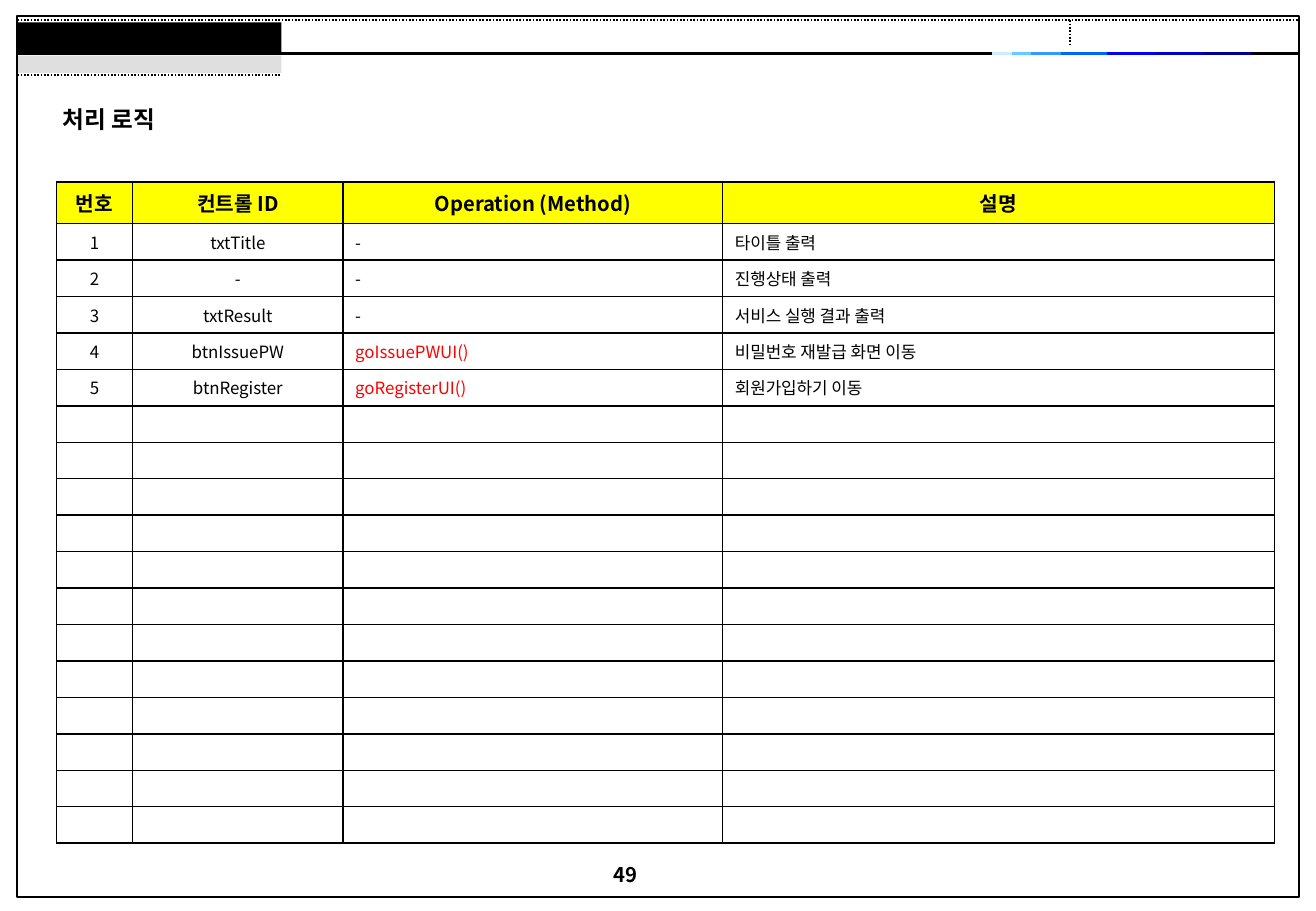
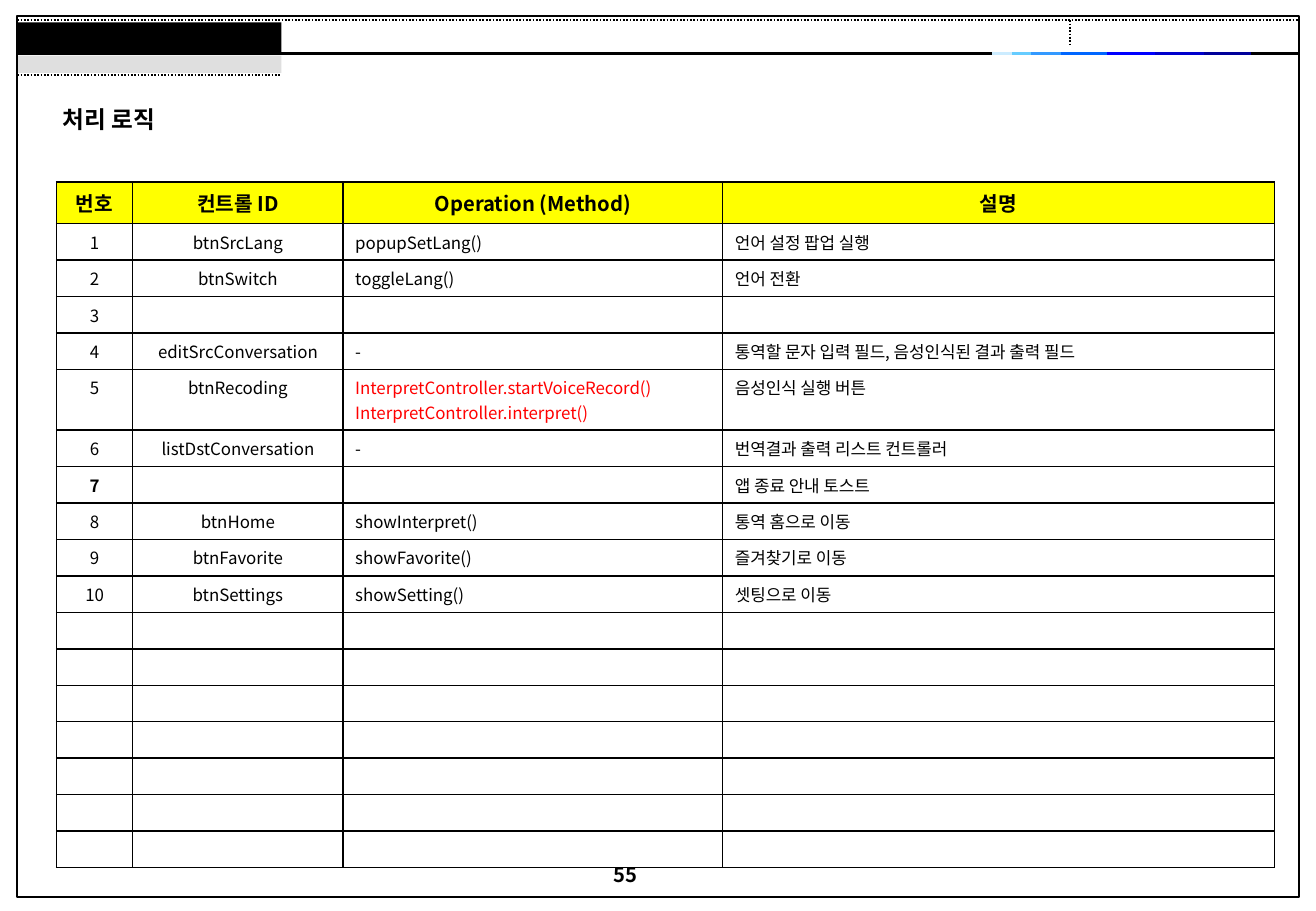
from lxml.etree import SubElement
from pptx import Presentation
from pptx.dml.color import RGBColor
from pptx.enum.dml import MSO_LINE_DASH_STYLE as Dash
from pptx.enum.shapes import MSO_CONNECTOR as Connector, MSO_SHAPE as Preset
from pptx.enum.text import MSO_ANCHOR as Anchor, MSO_AUTO_SIZE as AutoSize, PP_ALIGN as Align
from pptx.oxml.ns import qn
from pptx.util import Pt

PX = 7620
FONT = "Noto Sans CJK KR"
BLACK, RED, YELLOW, GREY = "000000", "FF0000", "FFFF00", "C0C0C0"

SLIDE_SIZE = (1300, 900)
FRAME_BOX = (17, 16, 1266, 870)
TITLE_BOX = (50, 98, 241, 41)
PAGE_BOX = (594, 846, 113, 53)
TABLE_ORIGIN = (56, 180)

TITLE = "처리 로직"
HEADER = ("번호", "컨트롤 ID", "Operation (Method)", "설명")
COLUMN_WIDTHS = (75, 208, 375, 545)
HEADER_HEIGHT, ROW_HEIGHT, EXTRA_LINE = 41, 36, 24
BODY_ROWS = 17

BLUE_STOPS = (980, 1000, 1019, 1048, 1094, 1141, 1189, 1236)
BLUES = ("CCECFF", "66CCFF", "3399FF", "0066FF", "0000FF", "0000CC", "000099")

PAGES = [
    {
        "number": "49",
        "red_operations": {"4", "5"},
        "bold_numbers": set(),
        "rows": [
            ("1", "txtTitle", "-", "타이틀 출력"),
            ("2", "-", "-", "진행상태 출력"),
            ("3", "txtResult", "-", "서비스 실행 결과 출력"),
            ("4", "btnIssuePW", "goIssuePWUI()", "비밀번호 재발급 화면 이동"),
            ("5", "btnRegister", "goRegisterUI()", "회원가입하기 이동"),
        ],
    },
    {
        "number": "55",
        "red_operations": {"5"},
        "bold_numbers": {"7"},
        "rows": [
            ("1", "btnSrcLang", "popupSetLang()", "언어 설정 팝업 실행"),
            ("2", "btnSwitch", "toggleLang()", "언어 전환"),
            ("3", "", "", ""),
            ("4", "editSrcConversation", "-", "통역할 문자 입력 필드, 음성인식된 결과 출력 필드"),
            ("5", "btnRecoding",
             "InterpretController.startVoiceRecord()\nInterpretController.interpret()",
             "음성인식 실행 버튼"),
            ("6", "listDstConversation", "-", "번역결과 출력 리스트 컨트롤러"),
            ("7", "", "", "앱 종료 안내 토스트"),
            ("8", "btnHome", "showInterpret()", "통역 홈으로 이동"),
            ("9", "btnFavorite", "showFavorite()", "즐겨찾기로 이동"),
            ("10", "btnSettings", "showSetting()", "셋팅으로 이동"),
        ],
    },
]


def emu(*lengths):
    return [length * PX for length in lengths]


def color(value):
    return RGBColor.from_string(value)


def write(text_frame, text, size, fill=BLACK, bold=False, align=Align.LEFT):
    text_frame.text = text
    for paragraph in text_frame.paragraphs:
        paragraph.alignment = align
        font = paragraph.font
        font.size, font.bold, font.name = Pt(size), bold, FONT
        font.color.rgb = color(fill)
        SubElement(paragraph._p.pPr.find(qn("a:defRPr")), qn("a:ea"), typeface=FONT)
        if not paragraph.runs:
            SubElement(paragraph._p, qn("a:endParaRPr"), sz=str(size * 100))


def add_line(slide, start, end, fill=BLACK, width=1, dash=None):
    line = slide.shapes.add_connector(Connector.STRAIGHT, *emu(*start, *end))
    line.line.color.rgb = color(fill)
    line.line.width = Pt(width)
    if dash:
        line.line.dash_style = dash
    SubElement(line._element.spPr, qn("a:effectLst"))


def add_box(slide, box, fill=None, opacity=100):
    shape = slide.shapes.add_shape(Preset.RECTANGLE, *emu(*box))
    shape.shadow.inherit = False
    if fill:
        shape.fill.solid()
        shape.fill.fore_color.rgb = color(fill)
        shape.line.fill.background()
        if opacity < 100:
            tint = shape._element.spPr.find(".//" + qn("a:srgbClr"))
            SubElement(tint, qn("a:alpha"), val=str(opacity * 1000))
    else:
        shape.fill.background()
        shape.line.color.rgb = color(BLACK)
        shape.line.width = Pt(1)


def add_frame(slide, box):
    left, top, width, _ = box
    right, rule, dots = left + width, top + 37, top + 4
    add_box(slide, box)
    add_line(slide, (left, rule), (right, rule), width=2.25)
    for start, end, blue in zip(BLUE_STOPS, BLUE_STOPS[1:], BLUES):
        add_line(slide, (start, rule), (end, rule), blue, 2.25)
    for start, end in (
        ((left, dots), (right, dots)),
        ((left + 1040, dots), (left + 1040, dots + 26)),
        ((left, top + 58), (left + 260, top + 58)),
    ):
        add_line(slide, start, end, dash=Dash.ROUND_DOT)
    add_box(slide, (left + 1, top + 6, 260, 30), BLACK)
    add_box(slide, (left + 1, top + 39, 260, 17), GREY, 50)


def add_title(slide, box):
    title = slide.shapes.title
    title.left, title.top, title.width, title.height = emu(*box)
    write(title.text_frame, TITLE, 14, bold=True)
    title.text_frame.vertical_anchor = Anchor.TOP
    title.text_frame.auto_size = AutoSize.NONE


def add_page_number(slide, box, number):
    text_frame = slide.shapes.add_textbox(*emu(*box)).text_frame
    text_frame.word_wrap = True
    write(text_frame, number, 12, bold=True)


def format_cell(cell, fill=None):
    properties = cell._tc.get_or_add_tcPr()
    for side in ("lnL", "lnR", "lnT", "lnB"):
        border = SubElement(properties, qn(f"a:{side}"), w=str(Pt(1)))
        paint = SubElement(border, qn("a:solidFill"))
        SubElement(paint, qn("a:srgbClr"), val=BLACK)
    if fill:
        cell.fill.solid()
        cell.fill.fore_color.rgb = color(fill)
    else:
        cell.fill.background()


def add_logic_table(slide, origin, page):
    rows = page["rows"] + [("",) * len(HEADER)] * (BODY_ROWS - len(page["rows"]))
    heights = [HEADER_HEIGHT] + [
        ROW_HEIGHT + EXTRA_LINE * max(text.count("\n") for text in row) for row in rows
    ]
    table = slide.shapes.add_table(
        len(heights), len(HEADER), *emu(*origin, sum(COLUMN_WIDTHS), sum(heights))
    ).table
    table.first_row = table.horz_banding = False
    properties = table._tbl.tblPr
    properties.remove(properties.find(qn("a:tableStyleId")))
    for column, width in zip(table.columns, emu(*COLUMN_WIDTHS)):
        column.width = width
    for row, height in zip(table.rows, emu(*heights)):
        row.height = height

    for index, text in enumerate(HEADER):
        cell = table.cell(0, index)
        format_cell(cell, YELLOW)
        write(cell.text_frame, text, 12, bold=True, align=Align.CENTER)
    for row_index, row in enumerate(rows, 1):
        for index, text in enumerate(row):
            cell = table.cell(row_index, index)
            format_cell(cell)
            is_red = index == 2 and row[0] in page["red_operations"]
            is_bold = index == 0 and text in page["bold_numbers"]
            write(cell.text_frame, text, 10, RED if is_red else BLACK, is_bold,
                  Align.CENTER if index < 2 else Align.LEFT)


def add_logic_slide(presentation, page):
    slide = presentation.slides.add_slide(presentation.slide_layouts[5])
    add_frame(slide, FRAME_BOX)
    add_page_number(slide, PAGE_BOX, page["number"])
    add_logic_table(slide, TABLE_ORIGIN, page)
    add_title(slide, TITLE_BOX)


def main():
    presentation = Presentation()
    presentation.slide_width, presentation.slide_height = emu(*SLIDE_SIZE)
    for page in PAGES:
        add_logic_slide(presentation, page)
    presentation.save("out.pptx")


if __name__ == "__main__":
    main()
